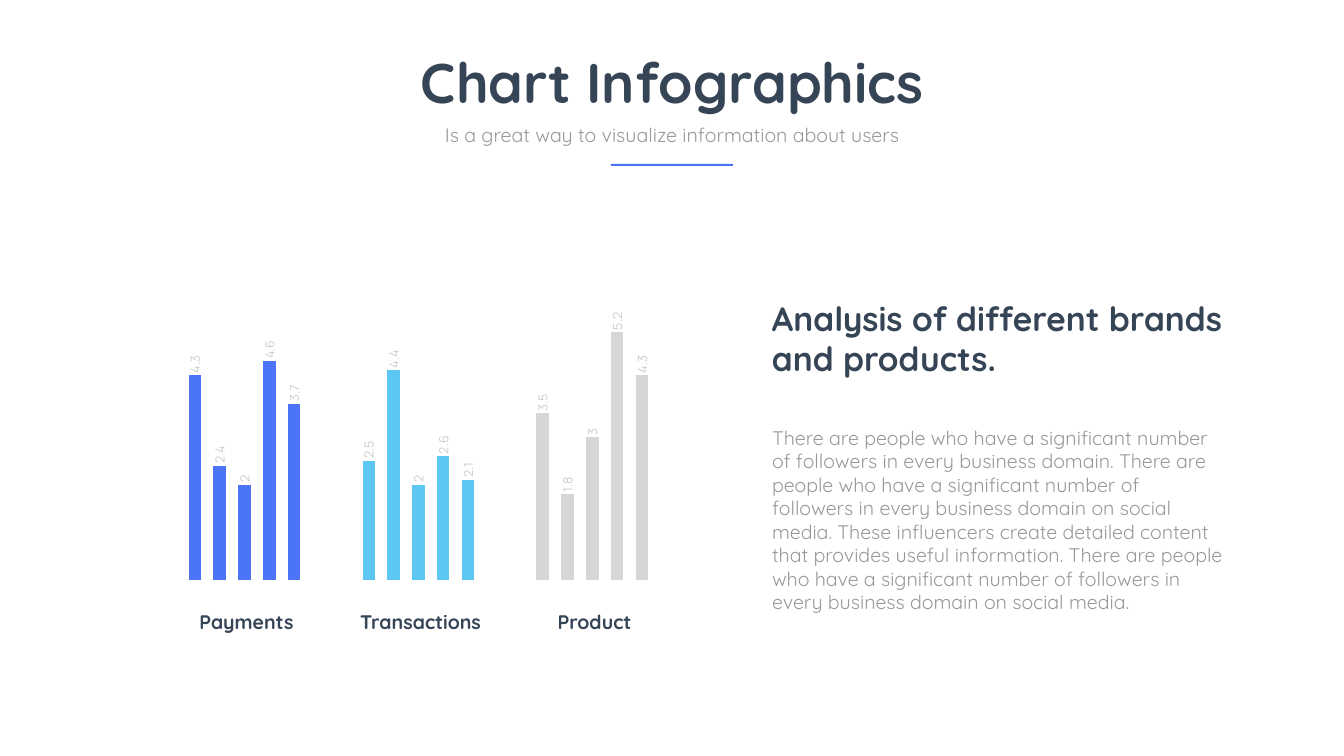
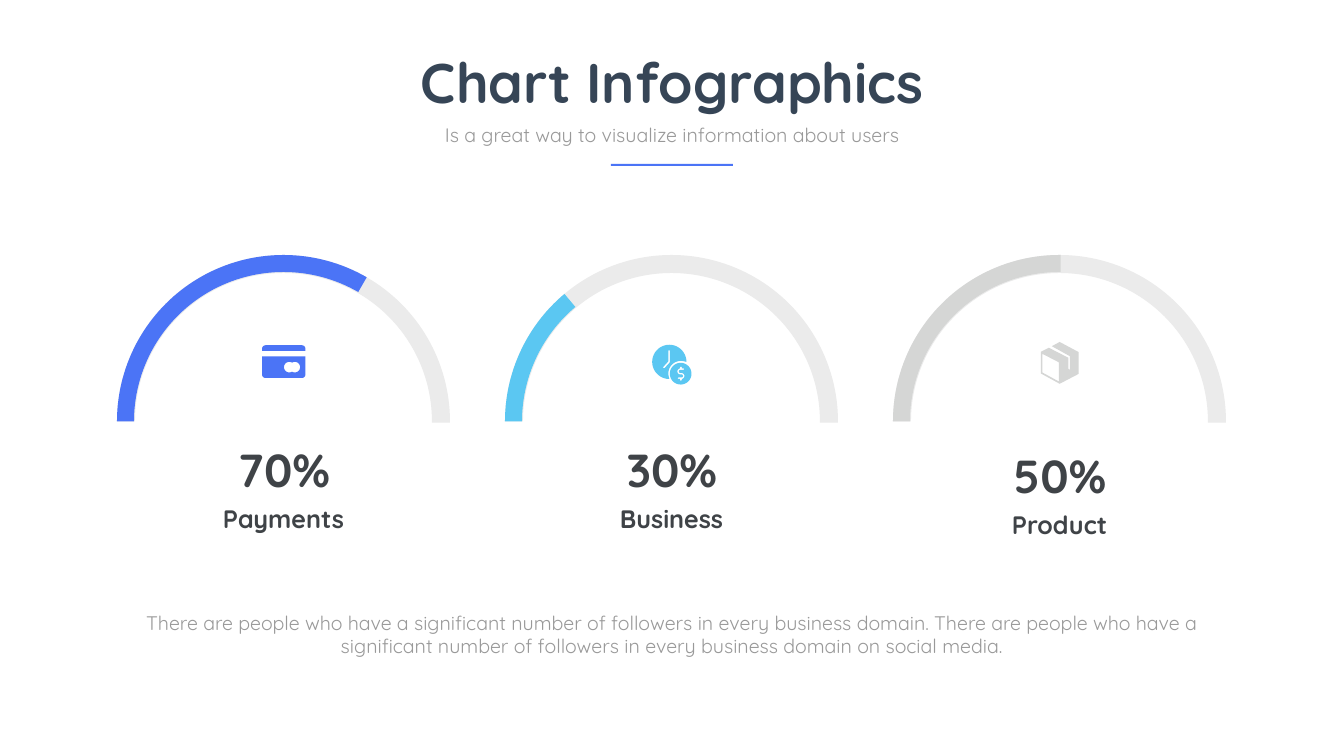
from dataclasses import dataclass
from math import cos, radians, sin

from lxml import etree
from pptx import Presentation
from pptx.chart.data import CategoryChartData
from pptx.dml.color import RGBColor
from pptx.enum.chart import XL_CHART_TYPE, XL_LABEL_POSITION
from pptx.enum.shapes import MSO_SHAPE
from pptx.enum.text import MSO_ANCHOR, MSO_AUTO_SIZE, PP_ALIGN
from pptx.oxml.ns import qn
from pptx.shapes.base import BaseShape
from pptx.slide import Slide
from pptx.util import Emu, Pt

COLUMNS = XL_CHART_TYPE.COLUMN_CLUSTERED
OUTSIDE = XL_LABEL_POSITION.OUTSIDE_END
RECT, ARC = MSO_SHAPE.RECTANGLE, MSO_SHAPE.BLOCK_ARC
TOP, MIDDLE = MSO_ANCHOR.TOP, MSO_ANCHOR.MIDDLE
LEFT, CENTER = PP_ALIGN.LEFT, PP_ALIGN.CENTER
FIXED = MSO_AUTO_SIZE.NONE

# Scales: layout in pixels, icon outlines in hundredths of an inch
PIXEL = 914400 / 50.4
CENT = 9144

# Shared colours and fonts
BLUE, SKY, SILVER = HUES = ("4B74F6", "5BC7F2", "D5D6D5")
NAVY, INK, GRAY, PALE, TRACK = "364556", "3F4347", "999999", "CCCCCC", "EBEBEB"
FONT, DIGITS = "Quicksand", "Manrope"

Box = tuple[int, int, int, int]
Point = tuple[float, float]
Outline = list[Point]


@dataclass(frozen=True)
class Style:
    size: int
    color: str
    bold: bool = False
    align: PP_ALIGN = CENTER
    anchor: MSO_ANCHOR = TOP
    spacing: float = 1.0
    inset: int | None = None


TITLE = Style(80, NAVY, True)
NOTE = Style(28, GRAY)
PROSE = Style(28, GRAY, align=LEFT)
HEAD = Style(48, NAVY, True, LEFT)
LABEL = Style(28, NAVY, True)
RATE = Style(66, INK, True, anchor=MIDDLE, inset=3)
NAME = Style(36, INK, True, anchor=MIDDLE, spacing=0.7, inset=3)


@dataclass(frozen=True)
class Gauge:
    rate: str
    name: str
    color: str
    start: float  # degrees where the coloured arc ends
    drop: int
    icon: list[list[Outline]]


def px(value: float) -> Emu:
    return Emu(round(value * PIXEL))


def rgb(color: str) -> RGBColor:
    return RGBColor.from_string(color)


def apply(target: object, values: dict[str, object]) -> None:
    for key, value in values.items():
        setattr(target, key, value)


def paint(shape: BaseShape, color: str) -> None:
    shape.shadow.inherit = False
    shape.fill.solid()
    shape.fill.fore_color.rgb = rgb(color)
    shape.line.fill.background()


def write(shape: BaseShape, text: str, style: Style) -> None:
    frame = shape.text_frame
    apply(frame, {"word_wrap": True, "auto_size": FIXED,
                  "vertical_anchor": style.anchor})
    if style.inset is not None:
        sides = ("left", "top", "right", "bottom")
        apply(frame, {f"margin_{side}": px(style.inset) for side in sides})
    para = frame.paragraphs[0]
    apply(para, {"alignment": style.align, "line_spacing": style.spacing,
                 "space_before": Pt(0)})
    run = para.add_run()
    run.text = text
    apply(run.font, {"name": FONT, "size": Pt(style.size), "bold": style.bold})
    run.font.color.rgb = rgb(style.color)


def add_text(slide: Slide, box: Box, text: str, style: Style) -> None:
    write(slide.shapes.add_textbox(*map(px, box)), text, style)


def fill_holder(shape: BaseShape, box: Box, text: str, style: Style) -> None:
    apply(shape, dict(zip(("left", "top", "width", "height"), map(px, box))))
    write(shape, text, style)


def add_page(deck: Presentation, box: Box, text: str, style: Style) -> Slide:
    """Add a slide with the shared header and one unbulleted body text."""
    slide = deck.slides.add_slide(deck.slide_layouts[1])
    fill_holder(slide.shapes.title, (347, 45, 651, 73), "Chart Infographics", TITLE)
    body = slide.placeholders[1]
    fill_holder(body, box, text, style)
    props = body.text_frame.paragraphs[0]._p.get_or_add_pPr()
    props.set("marL", "0")
    props.set("indent", "0")
    etree.SubElement(props, qn("a:buNone"))
    add_text(slide, (431, 120, 482, 29),
             "Is a great way to visualize information about users", NOTE)
    rule = slide.shapes.add_shape(RECT, *map(px, (611, 164, 122, 2)))
    paint(rule, BLUE)
    return slide


def arc(x: float, y: float, radius: float, start: int, end: int) -> Outline:
    """Points of a circular arc; angles run clockwise from the right."""
    steps = max(4, abs(end - start) // 8)
    turns = [radians(start + (end - start) * i / steps) for i in range(steps + 1)]
    return [(x + radius * cos(t), y + radius * sin(t)) for t in turns]


def add_outline(slide: Slide, rings: list[Outline], color: str) -> None:
    scaled = [[(round(x * CENT), round(y * CENT)) for x, y in ring] for ring in rings]
    pen = slide.shapes.build_freeform(*scaled[0][0], scale=1.0)
    for i, ring in enumerate(scaled):
        if i:
            pen.move_to(*ring[0])
        pen.add_line_segments(ring[1:], close=True)
    paint(pen.convert_to_shape(), color)


def add_columns(slide: Slide, box: Box, rows: list[tuple[float, ...]]) -> None:
    data = CategoryChartData()
    data.categories = ["1", "2", "3"]
    for i, row in enumerate(rows, 1):
        data.add_series(f"Series {i}", row)
    chart = slide.shapes.add_chart(COLUMNS, *map(px, box), data).chart
    apply(chart, {"has_legend": False, "has_title": False})
    apply(chart.font, {"name": DIGITS, "size": Pt(18)})
    chart.font.color.rgb = rgb(GRAY)
    for axis in (chart.category_axis, chart.value_axis):
        apply(axis, {"visible": False, "has_major_gridlines": False})
    apply(chart.value_axis, {"minimum_scale": 0, "maximum_scale": 6})
    plot = chart.plots[0]
    apply(plot, {"gap_width": 500, "overlap": -100, "vary_by_categories": False})

    # One colour per category, with value labels above the columns
    for i, series in enumerate(plot.series):
        base = SKY if i == 1 else BLUE
        series.format.fill.solid()
        series.format.fill.fore_color.rgb = rgb(base)
        for j, hue in enumerate(HUES):
            if hue != base:
                fill = series.points[j].format.fill
                fill.solid()
                fill.fore_color.rgb = rgb(hue)
        labels = series.data_labels
        apply(labels, {"show_value": True, "position": OUTSIDE})
        apply(labels.font, {"name": DIGITS, "size": Pt(18)})
        labels.font.color.rgb = rgb(PALE)

    # Upright labels and a fixed plot area
    for labels in chart.element.iter(qn("c:dLbls")):
        body = labels.find(".//" + qn("a:bodyPr"))
        body.set("rot", "-5400000")
        body.set("vert", "horz")
    area = chart.element.find(".//" + qn("c:plotArea"))
    for old in area.findall(qn("c:layout")):
        area.remove(old)
    layout = etree.Element(qn("c:layout"))
    area.insert(0, layout)
    manual = etree.SubElement(layout, qn("c:manualLayout"))
    for tag, value in {"layoutTarget": "inner", "xMode": "edge", "yMode": "edge",
                       "x": 0.07, "y": 0.15, "w": 0.88, "h": 0.67}.items():
        etree.SubElement(manual, qn(f"c:{tag}")).set("val", str(value))


def add_arc(slide: Slide, left: int, start: float, thick: int, color: str) -> None:
    size = 333
    shape = slide.shapes.add_shape(ARC, *map(px, (left, 255, size, size)))
    # Angles are stored in 60000ths of a degree, read as 100000ths
    for i, value in enumerate((180 * 0.6, start * 0.6, thick / size)):
        shape.adjustments[i] = value
    paint(shape, color)


def add_gauge(slide: Slide, left: int, gauge: Gauge) -> None:
    add_arc(slide, left, 0.4, 18, TRACK)
    add_arc(slide, left, gauge.start, 17, gauge.color)
    add_text(slide, (left + 47, 509 + gauge.drop, 239, 27), gauge.name, NAME)
    add_text(slide, (left + 93, 439 + gauge.drop, 148, 61), gauge.rate, RATE)
    for rings in gauge.icon:
        add_outline(slide, rings, gauge.color)


# Icons: each is a list of shapes, each shape an outline and its holes
CARD = [
    [[(520, 696), *arc(527, 692, 7, 180, 270), *arc(599, 692, 7, 270, 360),
      (606, 696)]],
    [[(520, 707), (606, 707), *arc(599, 743, 7, 0, 90), *arc(527, 743, 7, 90, 180)],
     [*arc(574, 728.5, 10.5, 58, 302), *arc(585, 728.5, 10.5, -122, 122)]],
]
HANDS = [(1326, 695), (1329, 695), (1329, 719), (1318, 731), (1315, 729), (1326, 717)]
DOLLAR = [
    *arc(1352, 746, 6, -90, 80), (1353, 754), (1351, 756), (1349, 754), (1349, 752),
    (1346, 752), (1344, 750), (1346, 749), *arc(1352, 746, 3, 90, -90),
    *arc(1350, 737, 6, 90, 260), (1349, 729), (1351, 727), (1353, 729), (1353, 731),
    (1356, 731), (1358, 732), (1356, 734), *arc(1350, 737, 3, 270, 90),
]
CLOCK = [
    [[*arc(1328, 718, 34, 90, 360), *arc(1351, 741, 25, 289, 160)], HANDS],
    [arc(1350.5, 741.5, 21.5, 0, 360), DOLLAR],
]
PARCEL = [[
    [(2139, 698), (2102.5, 678.5), (2087, 687), (2123, 707), (2123, 732),
     (2121.5, 734), (2120, 732), (2120, 710), (2081, 690), (2065, 698),
     (2065, 741), (2102.5, 761.5), (2140, 742), (2140, 699)],
    [(2101, 757), (2068, 739), (2068, 702), (2101, 719)],
]]

OPENING = "There are people who have a significant number of followers in every business domain."
SOCIAL = OPENING[:-1] + " on social media."
DETAIL = "These influencers create detailed content that provides useful information."

deck = Presentation()
apply(deck, {"slide_width": px(1344), "slide_height": px(756)})

# Slide 1: column chart beside the analysis
page = add_page(deck, (767, 423, 461, 219),
                f"{OPENING} {SOCIAL} {DETAIL} {SOCIAL}", PROSE)
add_text(page, (767, 295, 461, 87), "Analysis of different brands and products.", HEAD)
add_columns(page, (116, 230, 593, 427), [
    (4.3, 2.5, 3.5), (2.4, 4.4, 1.8), (2, 2, 3), (4.6, 2.6, 5.2), (3.7, 2.1, 4.3)])
for i, name in enumerate(("Payments", "Transactions", "Product")):
    add_text(page, (178 + 174 * i, 607, 137, 29), name, LABEL)

# Slide 2: three gauges above a note
page = add_page(deck, (94, 608, 1155, 52), f"{OPENING} {SOCIAL}", NOTE)
gauges = (
    Gauge("70%", "Payments", BLUE, 300, 0, CARD),
    Gauge("30%", "Business", SKY, 230, 0, CLOCK),
    Gauge("50%", "Product", SILVER, 270.4, 6, PARCEL),
)
for i, gauge in enumerate(gauges):
    add_gauge(page, 117 + 388 * i, gauge)

deck.save("out.pptx")
